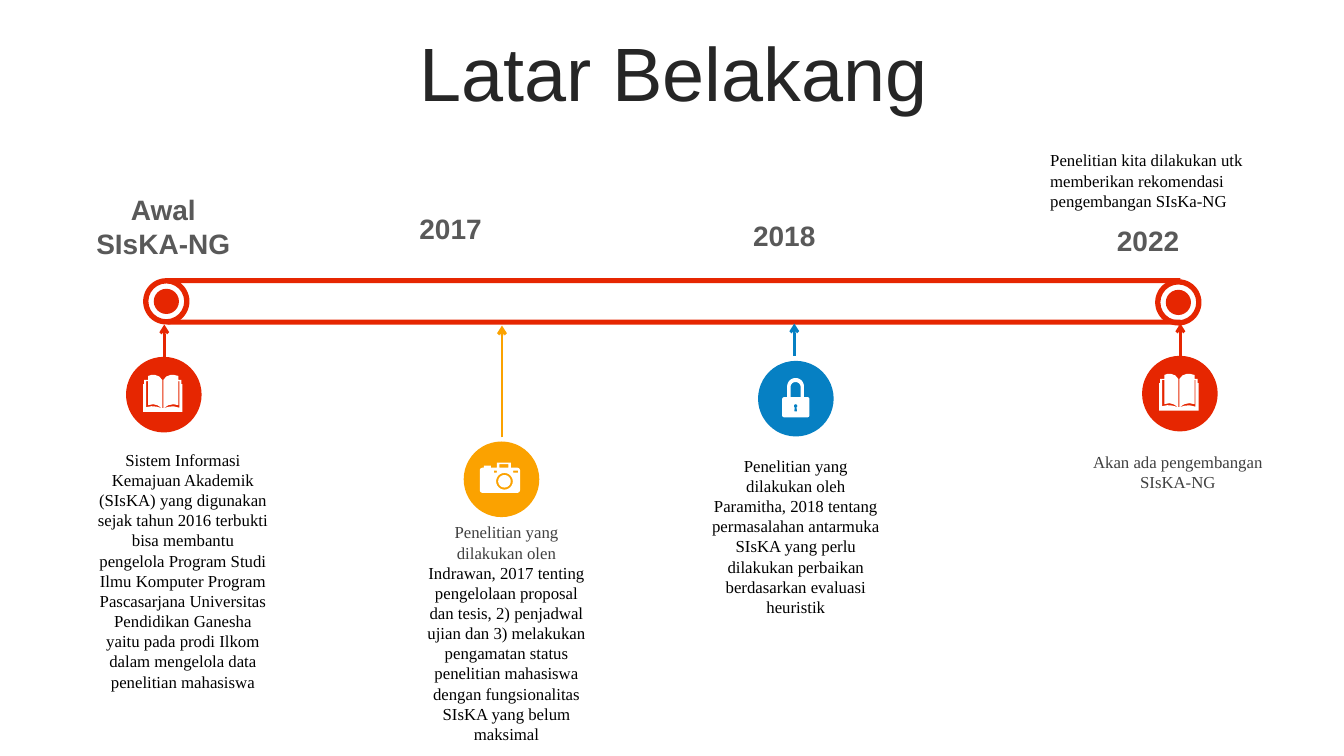
import math
from dataclasses import dataclass

from lxml import etree
from pptx import Presentation
from pptx import util as u
from pptx.dml.color import RGBColor
from pptx.enum import shapes, text
from pptx.oxml import ns

CELL = u.Inches(0.1)  # the page is a grid of 133.33 columns and 75 rows
COLUMNS, ROWS = 133.33, 75
DISC = 7.5
RED, ORANGE, BLUE, WHITE = "E62601", "FBA200", "0680C3", "FFFFFF"
BLACK, DARK, GREY, TITLE = "000000", "404040", "595959", "262626"

Point = tuple[float, float]
Contour = list[Point]


@dataclass
class Area:
    column: float
    row: float
    columns: float
    rows: float

    def emu(self) -> list[int]:
        return [grid(n) for n in (self.column, self.row, self.columns, self.rows)]


@dataclass
class Span:
    words: str
    color: str = BLACK


@dataclass
class Style:
    font: dict
    align: int = text.PP_ALIGN.CENTER
    anchor: int = text.MSO_ANCHOR.TOP
    spacing: float = 1.0


@dataclass
class Milestone:
    label: str
    label_area: Area
    story: list[Span]
    story_area: Area
    color: str
    icon: list[Contour]
    disc: Point
    arrow_column: float
    arrow_rows: Point


def grid(cells: float) -> int:
    return round(cells * CELL)


def hex_color(value: str) -> RGBColor:
    return RGBColor.from_string(value)


def arc(x: float, y: float, radius: float, start: int = 0, end: int = 360) -> Contour:
    """Points along a circle, in degrees clockwise from the right."""
    angles = [math.radians(start + (end - start) * i / 24) for i in range(25)]
    return [(x + radius * math.cos(a), y + radius * math.sin(a)) for a in angles]


def rectangle(left: float, top: float, right: float, bottom: float) -> Contour:
    return [(left, top), (right, top), (right, bottom), (left, bottom)]


def rounded(left: float, top: float, right: float, bottom: float, r: float) -> Contour:
    return (arc(left + r, top + r, r, 180, 270) + arc(right - r, top + r, r, 270, 360)
            + arc(right - r, bottom - r, r, 0, 90) + arc(left + r, bottom - r, r, 90, 180))


# Icon points are tenths of a cell, measured from the corner of the disc.
BOOK = [[
    (36, 51), (37, 51), (42, 49.6), (47, 49.1), (53, 50.5), (53, 24), (52, 24), (52, 48),
    (47, 47), (42, 48), (37, 51), (37, 23), (40, 19.5), (44, 18), (48, 18), (52, 19),
    (52, 23), (55, 23), (55, 27), (56, 27), (56, 54.5), (17, 54.5), (17, 27), (18, 27),
    (18, 23), (22, 23), (22, 19), (25, 18), (29, 18), (33, 19.5), (36, 23), (36, 51),
    (31, 48), (27, 47), (22, 48), (22, 24), (20, 24), (20, 50), (25, 49), (30, 49.4),
]]
CAMERA = [
    rounded(16, 26, 56, 51, 3),
    rectangle(20, 24, 27, 26),
    [(33, 26), (33, 21), (47, 21), (47, 26), (44.5, 26), (44.5, 22.5), (35.5, 22.5), (35.5, 26)],
    rectangle(30, 29, 33, 31),
    rectangle(49, 29, 54, 31),
    arc(40.5, 39.5, 8.3),
    arc(40.5, 39.5, 6.2),
]
LOCK = [
    rounded(24, 36, 51, 56, 2),
    [(29, 36), *arc(37.3, 25.3, 8.3, 180, 360), (45.6, 36),
     (42.3, 36), *arc(37.3, 26, 5, 360, 180), (32.3, 36)],
    [(36, 50), (36.5, 46.3), *arc(37.3, 44.8, 1.8, 140, 400), (38.2, 46.3), (39, 50)],
]

HEADING = Style({"name": "Arial", "size": u.Pt(54)}, anchor=text.MSO_ANCHOR.MIDDLE, spacing=0.9)
LABEL = Style({"name": "Arial", "size": u.Pt(20), "bold": True}, anchor=text.MSO_ANCHOR.MIDDLE)
STORY = Style({"name": "Times New Roman", "size": u.Pt(12)})
NOTE = Style(STORY.font, align=text.PP_ALIGN.LEFT)

MILESTONES = [
    Milestone(
        "Awal SIsKA-NG", Area(7.8, 18.6, 16.8, 7.7),
        [Span("Sistem Informasi Kemajuan Akademik (SIsKA) yang digunakan sejak tahun 2016 "
              "terbukti bisa membantu pengelola Program Studi Ilmu Komputer Program "
              "Pascasarjana Universitas Pendidikan Ganesha yaitu pada prodi Ilkom dalam "
              "mengelola data penelitian mahasiswa")],
        Area(8.7, 44.1, 18.9, 25.2), RED, BOOK, (12.5, 35.4), 16.3, (35.4, 32.2)),
    Milestone(
        "2017", Area(39.6, 20.4, 10.2, 4.4),
        [Span("Penelitian yang dilakukan olen ", DARK),
         Span("Indrawan, 2017 tenting pengelolaan proposal dan tesis, 2) penjadwal ujian "
              "dan 3) melakukan pengamatan status penelitian mahasiswa dengan "
              "fungsionalitas SIsKA yang belum maksimal")],
        Area(40.8, 51.3, 18.9, 23.2), ORANGE, CAMERA, (46, 43.8), 49.8, (43.4, 32.3)),
    Milestone(
        "2018", Area(72.7, 21.1, 10.2, 4.4),
        [Span("Penelitian yang dilakukan oleh Paramitha, 2018 tentang permasalahan antarmuka "
              "SIsKA yang perlu dilakukan perbaikan berdasarkan evaluasi heuristik")],
        Area(69.5, 44.7, 18.9, 17.2), BLUE, LOCK, (75.2, 35.8), 78.8, (35.3, 32.1)),
    Milestone(
        "2022", Area(108.8, 21.6, 10.2, 4.4),
        [Span("Akan ada pengembangan SIsKA-NG", DARK)],
        Area(107.4, 44.3, 18.9, 5), RED, BOOK, (113.3, 35.3), 117.1, (35.3, 32.1)),
]


def paint(shape, color: str) -> None:
    shape.shadow.inherit = False
    shape.fill.solid()
    shape.fill.fore_color.rgb = hex_color(color)
    shape.line.fill.background()


def add_preset(page, kind: int, area: Area, color: str):
    shape = page.shapes.add_shape(kind, *area.emu())
    paint(shape, color)
    return shape


def add_words(page, area: Area, spans: list[Span], style: Style) -> None:
    box = page.shapes.add_textbox(*area.emu())
    frame = box.text_frame
    frame.word_wrap = True
    frame.vertical_anchor = style.anchor
    para = frame.paragraphs[0]
    para.alignment = style.align
    para.line_spacing = style.spacing
    for span in spans:
        run = para.add_run()
        run.text = span.words
        for name, value in style.font.items():
            setattr(run.font, name, value)
        run.font.color.rgb = hex_color(span.color)


def add_icon(page, contours: list[Contour], corner: Point) -> None:
    """Draw all contours as one outline, so that inner ones become holes."""
    fine = [[(x * 100, y * 100) for x, y in contour] for contour in contours]
    builder = page.shapes.build_freeform(*fine[0][0], scale=CELL / 1000)
    for contour in fine:
        builder.move_to(*contour[0])
        builder.add_line_segments(contour[1:], close=True)
    paint(builder.convert_to_shape(grid(corner[0]), grid(corner[1])), WHITE)


def add_arrow(page, column: float, rows: Point, color: str) -> None:
    x, start, end = grid(column), grid(rows[0]), grid(rows[1])
    arrow = page.shapes.add_connector(shapes.MSO_CONNECTOR.STRAIGHT, x, start, x, end)
    arrow.line.color.rgb = hex_color(color)
    arrow.line.width = u.Pt(2)
    etree.SubElement(arrow.line._get_or_add_ln(), ns.qn("a:tailEnd"), type="arrow")
    etree.SubElement(arrow._element.spPr, ns.qn("a:effectLst"))


def add_track(page) -> None:
    kinds = shapes.MSO_SHAPE
    for column, row in ((14.2, 27.6), (114.6, 27.7)):
        ring = add_preset(page, kinds.DONUT, Area(column, row, 4.6, 4.6), RED)
        ring.adjustments[0] = 0.114
        add_preset(page, kinds.OVAL, Area(column + 1.05, row + 1.05, 2.5, 2.5), RED)
    for row in (27.6, 31.7):
        add_preset(page, kinds.RECTANGLE, Area(16.6, row, 100.5, 0.5), RED)


def add_milestone(page, stone: Milestone) -> None:
    add_words(page, stone.label_area, [Span(stone.label, GREY)], LABEL)
    add_preset(page, shapes.MSO_SHAPE.OVAL, Area(*stone.disc, DISC, DISC), stone.color)
    add_icon(page, stone.icon, stone.disc)
    add_arrow(page, stone.arrow_column, stone.arrow_rows, stone.color)
    add_words(page, stone.story_area, stone.story, STORY)


def main() -> None:
    deck = Presentation()
    deck.slide_width, deck.slide_height = grid(COLUMNS), grid(ROWS)
    page = deck.slides.add_slide(deck.slide_layouts[6])
    add_words(page, Area(3.5, 3.7, 126.6, 7.9), [Span("Latar Belakang", TITLE)], HEADING)
    add_track(page)
    for stone in MILESTONES:
        add_milestone(page, stone)
    add_words(page, Area(103.2, 14.4, 23.8, 7.1), [Span(
        "Penelitian kita dilakukan utk memberikan rekomendasi pengembangan SIsKa-NG")], NOTE)
    deck.save("out.pptx")


if __name__ == "__main__":
    main()
